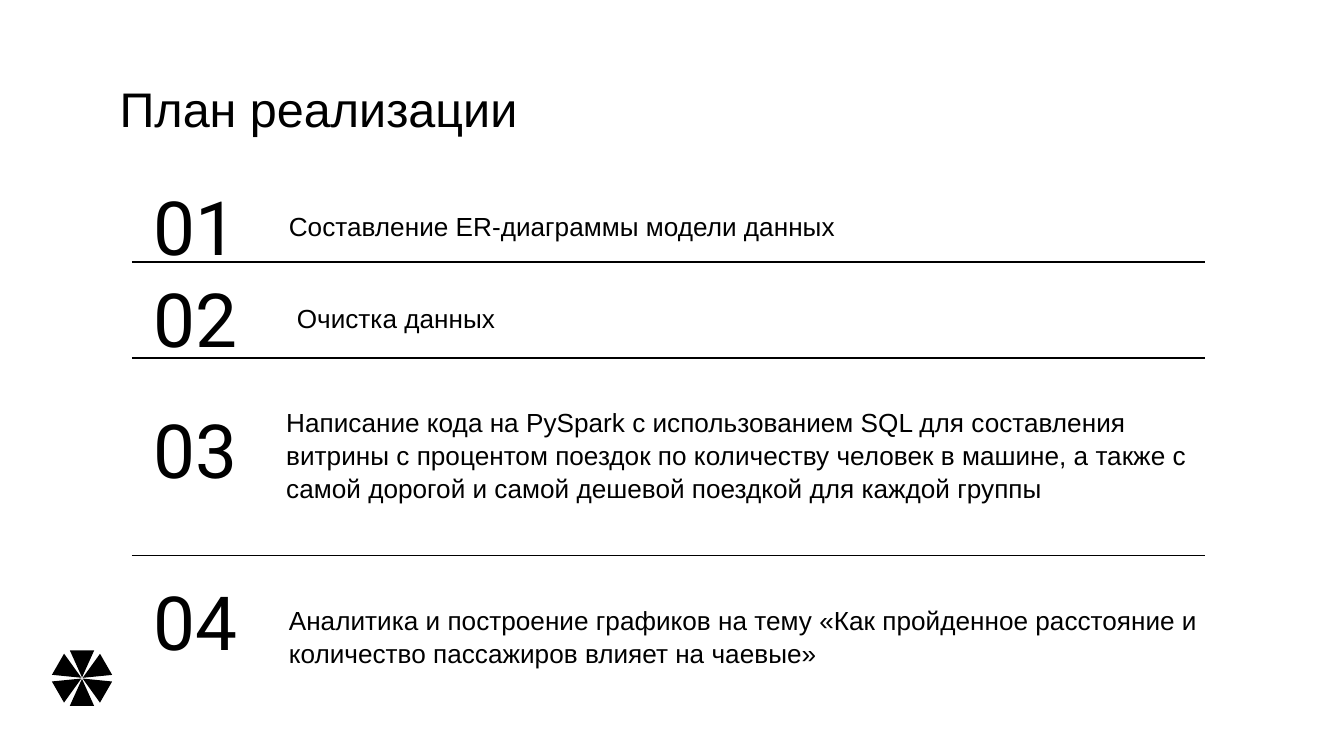
from dataclasses import dataclass
from math import cos, radians, sin

from lxml.etree import SubElement
from pptx import Presentation
from pptx.dml.color import RGBColor
from pptx.enum.shapes import MSO_CONNECTOR, MSO_SHAPE
from pptx.enum.text import MSO_ANCHOR, MSO_AUTO_SIZE, PP_ALIGN
from pptx.oxml.ns import qn
from pptx.util import Cm, Pt


@dataclass(frozen=True)
class Theme:
    ink: RGBColor = RGBColor(0, 0, 0)
    paper: RGBColor = RGBColor(255, 255, 255)
    text_font: str = "Arial"
    number_font: str = "Roboto"
    title_size: int = 26
    number_size: int = 40
    step_size: int = 14
    rule_width: float = 0.75


@dataclass(frozen=True)
class Box:
    """Position and size in centimetres."""
    left: float
    top: float
    width: float
    height: float


@dataclass(frozen=True)
class Step:
    text: str
    number_top: float
    box: Box


THEME = Theme()
STEPS = [
    Step("Составление ER-диаграммы модели данных", 3.2, Box(5.21, 3.71, 17.63, 1.09)),
    Step("Очистка данных", 4.95, Box(5.36, 5.46, 10.77, 1.09)),
    Step("Написание кода на PySpark с использованием SQL для составления "
         "витрины с процентом поездок по количеству человек в машине, а также с "
         "самой дорогой и самой дешевой поездкой для каждой группы",
         7.42, Box(5.16, 7.24, 18.06, 2.69)),
    Step("Аналитика и построение графиков на тему «Как пройденное расстояние и "
         "количество пассажиров влияет на чаевые»",
         10.67, Box(5.21, 10.92, 17.81, 2.18)),
]
RULE_LEFT, RULE_RIGHT = 2.49, 22.78
RULE_TOPS = (4.95, 6.76, 10.49)


def place(shape, box: Box) -> None:
    for name in ("left", "top", "width", "height"):
        setattr(shape, name, Cm(getattr(box, name)))


def write(shape, text: str, size: int, font_name: str = THEME.text_font,
          anchor=MSO_ANCHOR.MIDDLE, alignment=PP_ALIGN.LEFT,
          line_spacing: float = 1.0) -> None:
    frame = shape.text_frame
    frame_format = {
        "word_wrap": True, "auto_size": MSO_AUTO_SIZE.NONE,
        "vertical_anchor": anchor,
        **{f"margin_{side}": Cm(0.25) for side in ("left", "right", "top", "bottom")},
    }
    for name, value in frame_format.items():
        setattr(frame, name, value)
    paragraph = frame.paragraphs[0]
    paragraph.alignment = alignment
    paragraph.line_spacing = line_spacing
    run = paragraph.add_run()
    run.text = text
    for name, value in {"name": font_name, "size": Pt(size)}.items():
        setattr(run.font, name, value)
    run.font.color.rgb = THEME.ink


def add_text(slide, box: Box, text: str, size: int, **options) -> None:
    shape = slide.shapes.add_textbox(Cm(0), Cm(0), Cm(1), Cm(1))
    place(shape, box)
    write(shape, text, size, **options)


def add_step(slide, number: int, step: Step) -> None:
    add_text(slide, Box(2.62, step.number_top, 2.16, 2.11), f"{number:02d}",
             THEME.number_size, font_name=THEME.number_font,
             alignment=PP_ALIGN.CENTER)
    add_text(slide, step.box, step.text, THEME.step_size, line_spacing=1.04)


def add_rule(slide, top: float) -> None:
    rule = slide.shapes.add_connector(
        MSO_CONNECTOR.STRAIGHT, Cm(RULE_LEFT), Cm(top), Cm(RULE_RIGHT), Cm(top))
    rule.line.color.rgb = THEME.ink
    rule.line.width = Pt(THEME.rule_width)
    SubElement(rule._element.spPr, qn("a:effectLst"))


def add_rosette(slide, center_x: float, center_y: float) -> None:
    """Six triangles whose tips meet at the centre."""
    width, height, radius = 0.46, 0.51, 0.27
    group = slide.shapes.add_group_shape()
    for angle in range(0, 360, 60):
        left = center_x - radius * sin(radians(angle)) - width / 2
        top = center_y + radius * cos(radians(angle)) - height / 2
        petal = group.shapes.add_shape(
            MSO_SHAPE.ISOSCELES_TRIANGLE, Cm(left), Cm(top), Cm(width), Cm(height))
        petal.rotation = angle
        petal.shadow.inherit = False
        petal.fill.solid()
        petal.fill.fore_color.rgb = THEME.ink
        petal.line.fill.background()


def main() -> None:
    presentation = Presentation()
    presentation.slide_width, presentation.slide_height = Cm(25.4), Cm(14.28)
    slide = presentation.slides.add_slide(presentation.slide_layouts[5])
    slide.background.fill.solid()
    slide.background.fill.fore_color.rgb = THEME.paper

    # Title
    place(slide.shapes.title, Box(2.01, 1.24, 21.41, 1.6))
    write(slide.shapes.title, "План реализации", THEME.title_size,
          anchor=MSO_ANCHOR.TOP)

    # Numbered steps and the rules between them
    for number, step in enumerate(STEPS, start=1):
        add_step(slide, number, step)
    for top in RULE_TOPS:
        add_rule(slide, top)

    # Corner ornament
    add_rosette(slide, 1.55, 12.81)
    presentation.save("out.pptx")


main()
